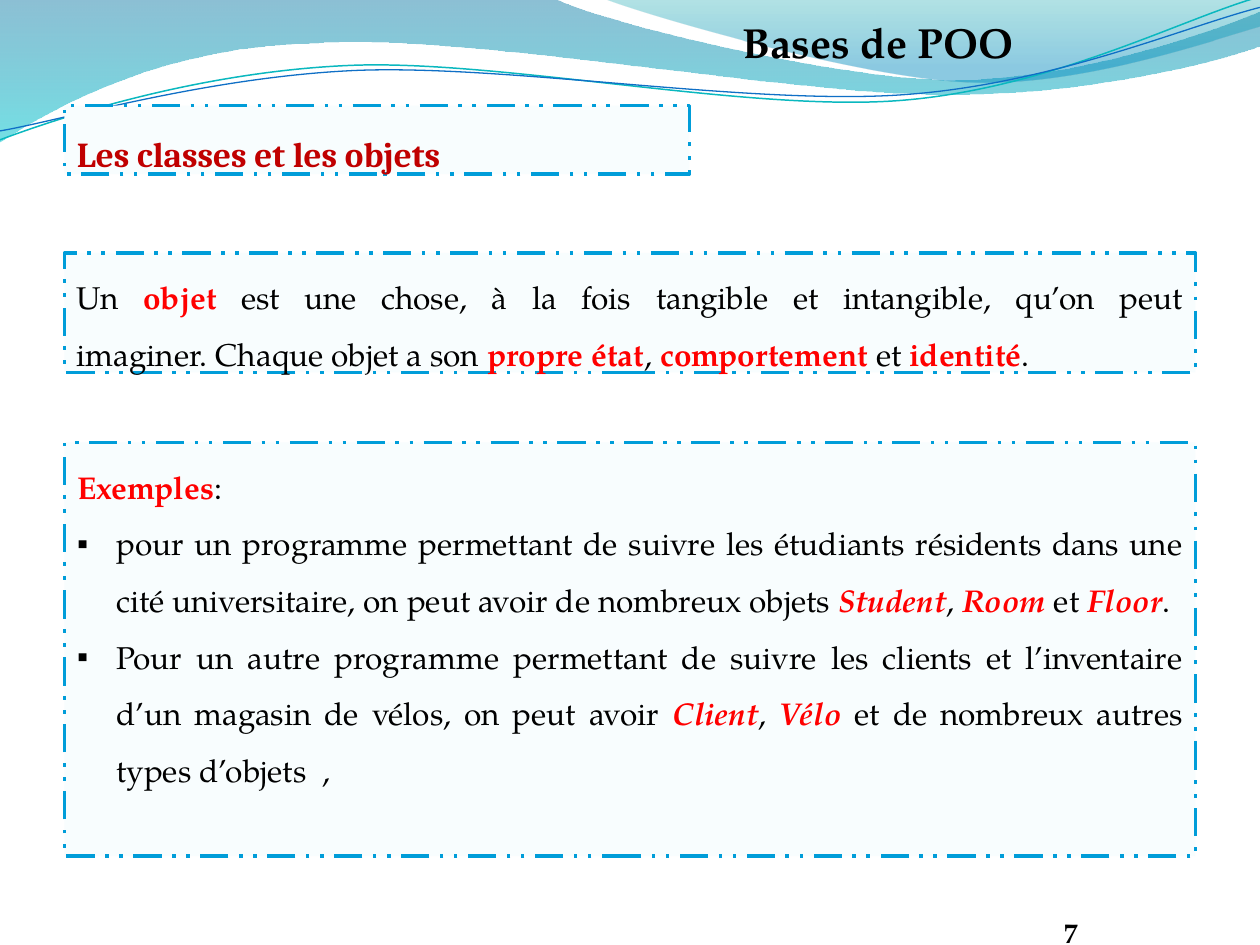
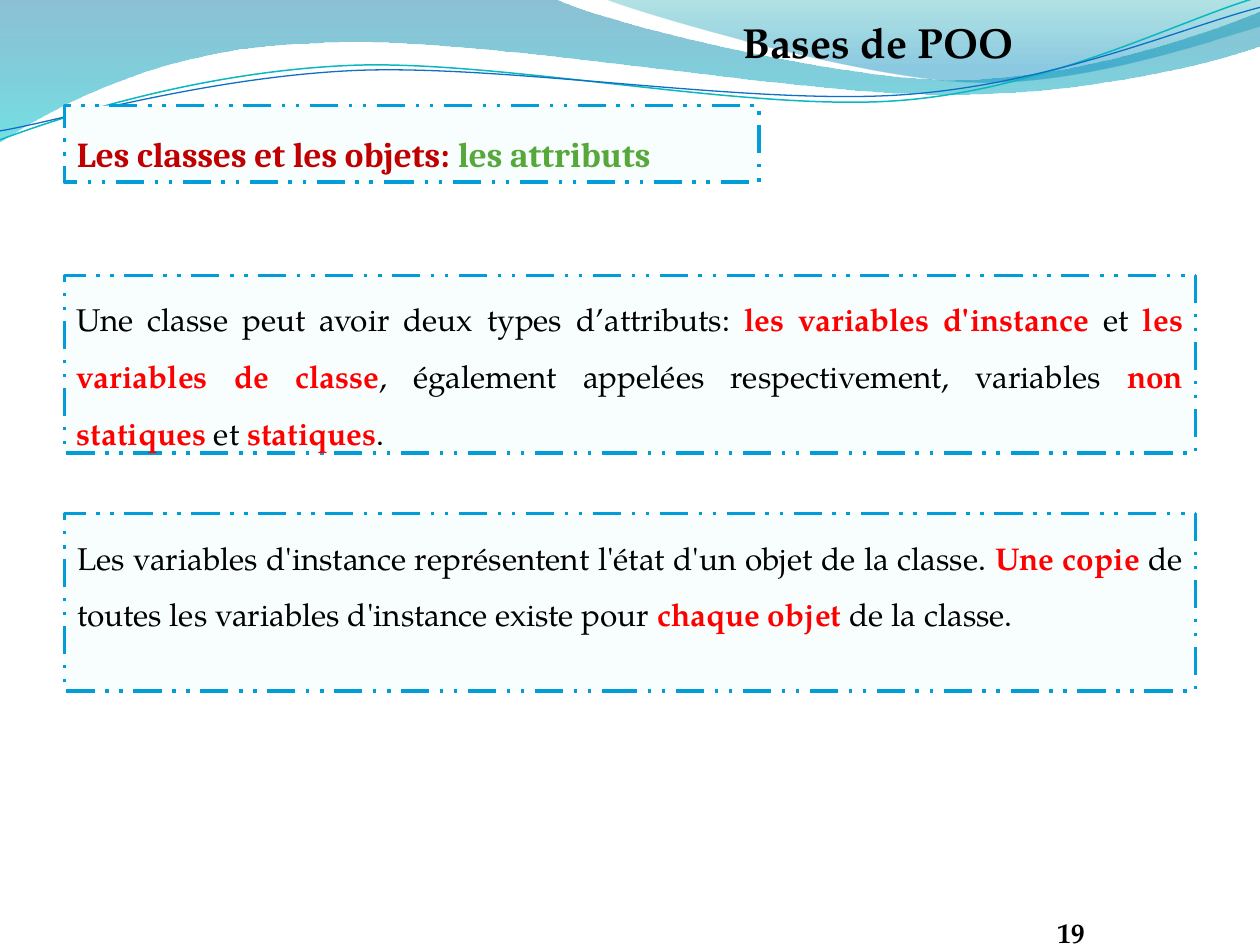
from dataclasses import dataclass

from lxml.etree import SubElement
from pptx import Presentation
from pptx.dml.color import RGBColor
from pptx.enum.dml import MSO_LINE
from pptx.enum.shapes import MSO_SHAPE
from pptx.enum.text import MSO_ANCHOR, MSO_AUTO_SIZE, PP_ALIGN
from pptx.oxml.ns import qn
from pptx.util import Cm, Pt


@dataclass(frozen=True)
class Theme:
    text_font: str = "TeX Gyre Pagella"
    heading_font: str = "Cambria"
    black: str = "000000"
    red: str = "FF0000"
    dark_red: str = "C00000"
    green: str = "55A839"
    box_fill: str = "F8FDFE"
    box_line: str = "009DD9"
    title_size: int = 24
    heading_size: int = 20
    text_size: int = 18
    number_size: int = 16


THEME = Theme()

# Content: *stars* mark emphasis, "▪" opens a list item; lengths in cm
TITLE = "Bases de POO"
PAGES = [
    {
        "number": "7",
        "heading": "Les classes et les objets",
        "heading_size": (12.6, 1.38),
        "boxes": [
            (5.1, 2.41, [
                "Un *objet* est une chose, à la fois tangible et intangible, qu’on peut\n"
                "imaginer. Chaque objet a son *propre état*, *comportement* et *identité*.",
            ]),
            (8.92, 8.34, [
                "*Exemples*:",
                "▪pour un programme permettant de suivre les étudiants résidents dans une "
                "cité universitaire, on peut avoir de nombreux objets *Student*, *Room* et *Floor*.",
                "▪Pour un autre programme permettant de suivre les clients et l’inventaire "
                "d’un magasin de vélos, on peut avoir *Client*, *Vélo* et de nombreux autres "
                "types d’objets  ,",
            ]),
        ],
    },
    {
        "number": "19",
        "heading": "Les classes et les objets: *les attributs*",
        "heading_size": (14, 1.54),
        "boxes": [
            (5.55, 3.58, [
                "Une classe peut avoir deux types d’attributs: *les variables d'instance* et "
                "*les variables de classe*, également appelées respectivement, variables "
                "*non statiques* et *statiques*.",
            ]),
            (10.35, 3.58, [
                "Les variables d'instance représentent l'état d'un objet de la classe. "
                "*Une copie* de toutes les variables d'instance existe pour *chaque objet* "
                "de la classe.",
            ]),
        ],
    },
]

# Wave decoration: each step is one point (line) or three points (curve)
BANDS = [
    ([
        [(0, 0)], [(11.18, -0.03)],
        [(12.09, 0.43), (16.87, 1.6), (19.25, 1.6)],
        [(21.67, 1.6), (24.33, 0.66), (25.4, 0.23)],
        [(25.43, 0.91)],
        [(24.97, 1.12), (22.1, 1.93), (18.95, 1.9)],
        [(15.8, 1.9), (9.7, 0.71), (6.53, 0.86)],
        [(3.28, 0.91), (1.17, 2.11), (-0.03, 2.87)],
        [(0, 0)],
    ], [(0, "0074A1", 45), (1, "00C6CF", 55)]),
    ([
        [(12.17, -0.03)],
        [(12.93, 0.28), (17.32, 1.57), (19.53, 1.65)],
        [(21.74, 1.75), (24.41, 0.81), (25.4, 0.53)],
        [(25.4, 0)],
        [(12.17, -0.03)],
    ], [(0, "00A1A9", 30), (0.8, "008BBF", 45)]),
]
THREADS = [
    ([
        [(0, 2.82)],
        [(1.22, 2.36), (4.01, 1.45), (7.04, 1.32)],
        [(10.03, 1.19), (15.06, 2.26), (18.11, 2.03)],
        [(21.16, 1.8), (23.83, 0.38), (25.35, -0.05)],
    ], "0AB8BF", 0.85),
    ([
        [(0, 2.64)],
        [(1.19, 2.44), (4.17, 1.55), (7.19, 1.42)],
        [(10.24, 1.3), (15.16, 2.13), (18.21, 1.91)],
        [(21.23, 1.7), (23.9, 0.53), (25.4, 0.15)],
    ], "0F6FC6", 0.75),
]
LEFT, BOX_WIDTH, HEADING_TOP = 1.3, 22.8, 2.13
BULLET_INDENT = Cm(0.79)


def color(code):
    return RGBColor.from_string(code)


def place(shape, left, top, width, height):
    shape.left, shape.top = Cm(left), Cm(top)
    shape.width, shape.height = Cm(width), Cm(height)


# Waves
def bend_segments(outline, steps):
    """Turn the segments of three-point steps into cubic curves."""
    segments = list(outline.element.iter(qn("a:lnTo")))
    for segment, step in zip(segments, steps[1:]):
        if len(step) == 1:
            continue
        segment.tag = qn("a:cubicBezTo")
        for index, (x, y) in enumerate(step[:-1]):
            control = SubElement(segment, qn("a:pt"),
                                 x=str(Cm(x) - outline.left), y=str(Cm(y) - outline.top))
            segment.insert(index, control)


def draw_outline(page, steps, close):
    start, *rest = [(Cm(x), Cm(y)) for x, y in (step[-1] for step in steps)]
    builder = page.shapes.build_freeform(*start)
    builder.add_line_segments(rest, close=close)
    outline = builder.convert_to_shape()
    outline.shadow.inherit = False
    bend_segments(outline, steps)
    return outline


def draw_band(page, steps, stops):
    band = draw_outline(page, steps, True)
    band.line.fill.background()
    band.fill.gradient()
    band.fill.gradient_angle = 270
    for stop, (position, code, _) in zip(band.fill.gradient_stops, stops):
        stop.position = position
        stop.color.rgb = color(code)
    for tint, (_, _, opacity) in zip(band.element.iter(qn("a:srgbClr")), stops):
        SubElement(tint, qn("a:alpha"), val=str(opacity * 1000))
    return band


def draw_thread(page, steps, code, weight):
    thread = draw_outline(page, steps, False)
    thread.fill.background()
    thread.line.color.rgb = color(code)
    thread.line.width = Pt(weight)
    return thread


def decorate_layout(layout, page):
    waves = [draw_band(page, *band) for band in BANDS]
    waves += [draw_thread(page, *thread) for thread in THREADS]
    for number, wave in enumerate(waves, 20):
        next(wave.element.iter(qn("p:cNvPr"))).set("id", str(number))
        layout.shapes.element.append(wave.element)


# Text
def style_font(font, name, size, code, bold):
    font.name, font.size, font.bold = name, Pt(size), bold
    font.color.rgb = color(code)


def set_bullet(para, bulleted):
    properties = para._p.get_or_add_pPr()
    indent = BULLET_INDENT if bulleted else 0
    properties.set("marL", str(indent))
    properties.set("indent", str(-indent))
    if bulleted:
        SubElement(properties, qn("a:buChar"), char="▪")
    else:
        SubElement(properties, qn("a:buNone"))


def add_spans(para, text, accent, italic):
    for index, part in enumerate(text.split("*")):
        for line_index, line in enumerate(part.split("\n")):
            if line_index:
                para.add_line_break()
            if not line:
                continue
            span = para.add_run()
            span.text = line
            if index % 2:
                span.font.bold = True
                span.font.color.rgb = color(accent)
                if italic:
                    span.font.italic = True


def fill_box(box, texts, name, size, code, bold, accent):
    box.fill.solid()
    box.fill.fore_color.rgb = color(THEME.box_fill)
    box.line.color.rgb = color(THEME.box_line)
    box.line.width = Pt(2)
    box.line.dash_style = MSO_LINE.DASH_DOT_DOT
    frame = box.text_frame
    frame.word_wrap = True
    frame.auto_size = MSO_AUTO_SIZE.NONE
    frame.vertical_anchor = MSO_ANCHOR.TOP
    for index, text in enumerate(texts):
        para = frame.add_paragraph() if index else frame.paragraphs[0]
        bulleted = text.startswith("▪")
        set_bullet(para, bulleted)
        para.alignment = PP_ALIGN.JUSTIFY
        para.line_spacing = 1.5
        para.space_before = Pt(0)
        style_font(para.font, name, size, code, bold)
        add_spans(para, text.removeprefix("▪"), accent, bulleted)


def add_box(page, left, top, width, height):
    box = page.shapes.add_shape(MSO_SHAPE.RECTANGLE, Cm(left), Cm(top), Cm(width), Cm(height))
    box.shadow.inherit = False
    return box


def add_label(shape, text, size, anchor):
    frame = shape.text_frame
    frame.word_wrap = True
    frame.auto_size = MSO_AUTO_SIZE.NONE
    frame.vertical_anchor = anchor
    para = frame.paragraphs[0]
    para.text = text
    para.alignment = PP_ALIGN.CENTER
    style_font(para.font, THEME.text_font, size, THEME.black, True)
    return frame


def build_page(page, content):
    title = page.shapes.title
    place(title, 12.9, 0.33, 9.6, 1.17)
    frame = add_label(title, TITLE, THEME.title_size, MSO_ANCHOR.TOP)
    frame.paragraphs[0].line_spacing = 0.9

    heading = add_box(page, LEFT, HEADING_TOP, *content["heading_size"])
    fill_box(heading, [content["heading"]], THEME.heading_font, THEME.heading_size,
             THEME.dark_red, True, THEME.green)

    # The first box is a plain shape, the second the body placeholder
    body = page.placeholders[1]
    definition = add_box(page, LEFT, 0, BOX_WIDTH, 1)
    for box, (top, height, texts) in zip((definition, body), content["boxes"]):
        place(box, LEFT, top, BOX_WIDTH, height)
        fill_box(box, texts, THEME.text_font, THEME.text_size, THEME.black, False, THEME.red)

    number = page.shapes.add_textbox(Cm(18.63), Cm(18.11), Cm(5.92), Cm(1.02))
    frame = add_label(number, content["number"], THEME.number_size, MSO_ANCHOR.BOTTOM)
    frame.margin_left = frame.margin_right = frame.margin_top = frame.margin_bottom = 0


def main():
    deck = Presentation()
    deck.slide_width, deck.slide_height = Cm(25.4), Cm(19.05)
    layout = deck.slide_layouts[1]
    pages = [deck.slides.add_slide(layout) for _ in PAGES]
    decorate_layout(layout, pages[0])
    for page, content in zip(pages, PAGES):
        build_page(page, content)
    deck.save("out.pptx")


if __name__ == "__main__":
    main()
